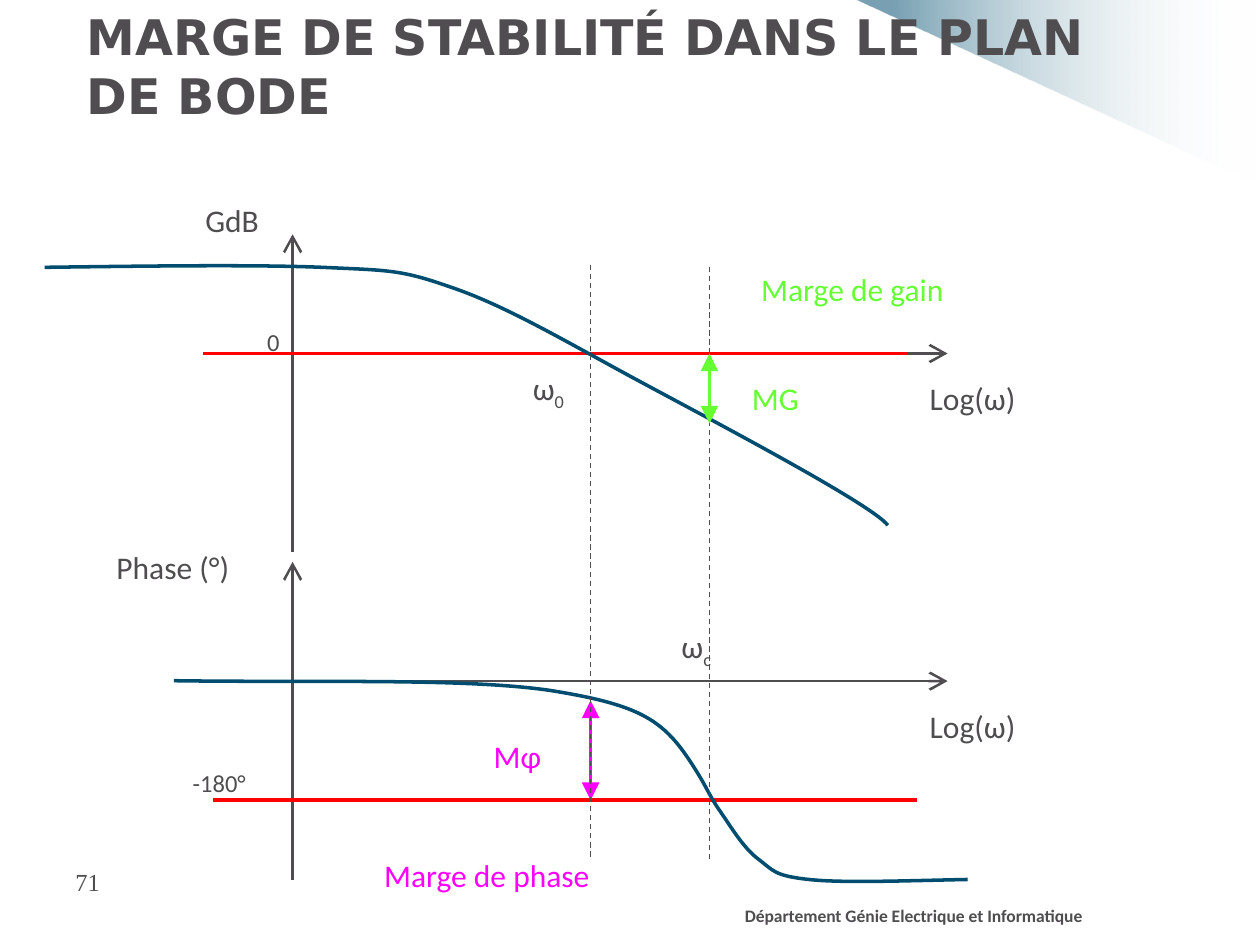
from lxml import etree
from pptx import Presentation
from pptx.dml.color import RGBColor
from pptx.enum.dml import MSO_LINE
from pptx.enum.shapes import MSO_CONNECTOR
from pptx.enum.text import MSO_ANCHOR, PP_ALIGN
from pptx.oxml.ns import qn
from pptx.util import Pt

GREY = RGBColor(0x4F, 0x4D, 0x50)
BLUE = RGBColor(0x00, 0x4D, 0x6F)
RED = RGBColor(0xFF, 0x00, 0x00)
GREEN = RGBColor(0x66, 0xFF, 0x33)
MAGENTA = RGBColor(0xFF, 0x00, 0xFF)
WHITE = RGBColor(0xFF, 0xFF, 0xFF)

AXIS_X = 167.2
GAIN_ZERO, PHASE_ZERO, PHASE_180 = 202, 389.2, 457.2
OMEGA_0, OMEGA_C = 337.5, 405.4
PHASE_SHIFT = PHASE_ZERO - GAIN_ZERO

deck = Presentation()
deck.slide_width, deck.slide_height = Pt(720), Pt(540)
page = deck.slides.add_slide(deck.slide_layouts[5])
shapes = page.shapes


def add_label(text, left, top, width, height, size=18, color=GREY,
              font="Calibri", bold=False, subscript=""):
    box = shapes.add_textbox(Pt(left), Pt(top), Pt(width), Pt(height))
    box.text_frame.word_wrap = True
    para = box.text_frame.paragraphs[0]
    para.text = text
    if subscript:
        span = para.add_run()
        span.text = subscript
        span.font._element.set("baseline", "-25000")
    for span in para.runs:
        span.font.name, span.font.size = font, Pt(size)
        span.font.bold, span.font.color.rgb = bold, color
    return para


def add_line(x1, y1, x2, y2, color=GREY, width=1.5, dashed=False, head=None, tail=None):
    line = shapes.add_connector(MSO_CONNECTOR.STRAIGHT, Pt(x1), Pt(y1), Pt(x2), Pt(y2))
    line.line.color.rgb, line.line.width = color, Pt(width)
    if dashed:
        line.line.dash_style = MSO_LINE.DASH
    outline = line.line._get_or_add_ln()
    for tag, kind in (("a:headEnd", head), ("a:tailEnd", tail)):
        if kind:
            etree.SubElement(outline, qn(tag), type=kind, w="lg", len="lg")
    etree.SubElement(line._element.spPr, qn("a:effectLst"))


# Corner decoration, behind the title
builder = shapes.build_freeform(Pt(488.9), 0)
builder.add_line_segments([(Pt(720), 0), (Pt(719.5), Pt(105.8))])
corner = builder.convert_to_shape()
corner.shadow.inherit = False
corner.line.fill.background()
corner.fill.gradient()
corner.fill.gradient_angle = 0
stops = zip(corner.fill.gradient_stops, (0.09, 0.99), (BLUE, WHITE), ("53000", "0"))
for stop, position, color, opacity in stops:
    stop.position, stop.color.rgb = position, color
for color_node, opacity in zip(corner._element.spPr.iter(qn("a:srgbClr")), ("53000", "0")):
    etree.SubElement(color_node, qn("a:alpha"), val=opacity)
shapes._spTree.insert(2, corner._element)

# Title
title = shapes.title
title.left, title.top, title.width, title.height = Pt(42.5), 0, Pt(612), Pt(90)
frame = title.text_frame
frame.text = "MARGE DE STABILITÉ DANS LE PLAN DE BODE"
frame.word_wrap, frame.vertical_anchor = True, MSO_ANCHOR.TOP
para = frame.paragraphs[0]
para.alignment = PP_ALIGN.LEFT
font = para.runs[0].font
font.name, font.size, font.bold, font.color.rgb = "DejaVu Sans", Pt(28), True, GREY

# Axes of the two plots
for shift in (0, PHASE_SHIFT):
    add_line(AXIS_X, 315.4 + shift, AXIS_X, 133.9 + shift, tail="arrow")
    add_line(116, GAIN_ZERO + shift, 541.5, GAIN_ZERO + shift, tail="arrow")
    add_label("Log(ω)", 524.2, 213.1 + shift, 130, 31)
add_label("GdB", 110.2, 111.6, 63, 31)
add_label("Phase (°)", 59.5, 309.6, 113, 31)

# Stability limits
add_line(116, GAIN_ZERO, 518.5, GAIN_ZERO, RED, 2)
add_line(121.7, PHASE_180, 524.2, PHASE_180, RED, 2)

# Gain and phase curves: a start point, then Bézier segments of three points
gain_curve = [
    (25.5, 152.8), (85.7, 152), (145.4, 151.2), (184.3, 152.8),
    (223.2, 154.6), (229, 154.1), (257.8, 164.2),
    (287.3, 174.2), (318.2, 192.2), (360, 215),
    (401.8, 237.6), (498.2, 288), (507.3, 300.2)]
phase_curve = [
    (99.4, 389), (184.3, 390.2), (265.7, 387.4), (314.6, 394.6),
    (363.6, 402.5), (378, 410.4), (393.8, 434.2),
    (403.9, 449.3), (404.6, 453.6), (411.1, 463),
    (417.6, 472.3), (424.8, 484.6), (433.4, 491),
    (442.1, 497.5), (442.1, 500.4), (462.2, 502.6),
    (481.7, 504.7), (517, 503.3), (553, 502.6)]
for nodes in (gain_curve, phase_curve):
    start, *controls = [(Pt(x), Pt(y)) for x, y in nodes]
    builder = shapes.build_freeform(*start)
    builder.add_line_segments(controls, close=False)
    curve = builder.convert_to_shape()
    curve.shadow.inherit = False
    curve.fill.background()
    curve.line.color.rgb, curve.line.width = BLUE, Pt(2)
    outline = next(curve._element.iter(qn("a:path")))
    segments = outline.findall(qn("a:lnTo"))
    for first in range(0, len(segments), 3):
        bezier = etree.SubElement(outline, qn("a:cubicBezTo"))
        for segment in segments[first:first + 3]:
            bezier.append(segment[0])
            outline.remove(segment)

# Crossover frequencies and margins
add_line(OMEGA_C, 491, OMEGA_C, 151.2, width=0.75, dashed=True)
add_label("ω", 297.4, 207.4, 130, 31, subscript="0")
add_label("ω", 382.3, 355, 130, 31, subscript="c")
add_line(OMEGA_0, 400.3, OMEGA_0, PHASE_180, MAGENTA, 2, head="triangle", tail="triangle")
add_label("Mφ", 275, 417.6, 85, 31, color=MAGENTA)
add_label("Marge de phase", 212.4, 485.5, 204, 31, color=MAGENTA)
add_line(OMEGA_0, 151.2, OMEGA_0, 491, width=0.75, dashed=True)
add_line(OMEGA_C, GAIN_ZERO, OMEGA_C, 242, GREEN, 2, head="triangle", tail="triangle")
add_label("Marge de gain", 427.9, 150.9, 204, 31, color=GREEN)
add_label("MG", 422.6, 213.1, 85, 31, color=GREEN)
add_label("0", 145.6, 183.1, 21, 24.5, size=14)
add_label("-180°", 103, 435.6, 68.4, 24.5, size=14)

# Footer
footer = add_label("Département Génie Electrique et Informatique", 324, 513.8, 396, 17.3,
                   size=10, bold=True)
footer.alignment = PP_ALIGN.CENTER
add_label("71", 36, 491.8, 150, 36, size=14, font="Times New Roman")

deck.save("out.pptx")
